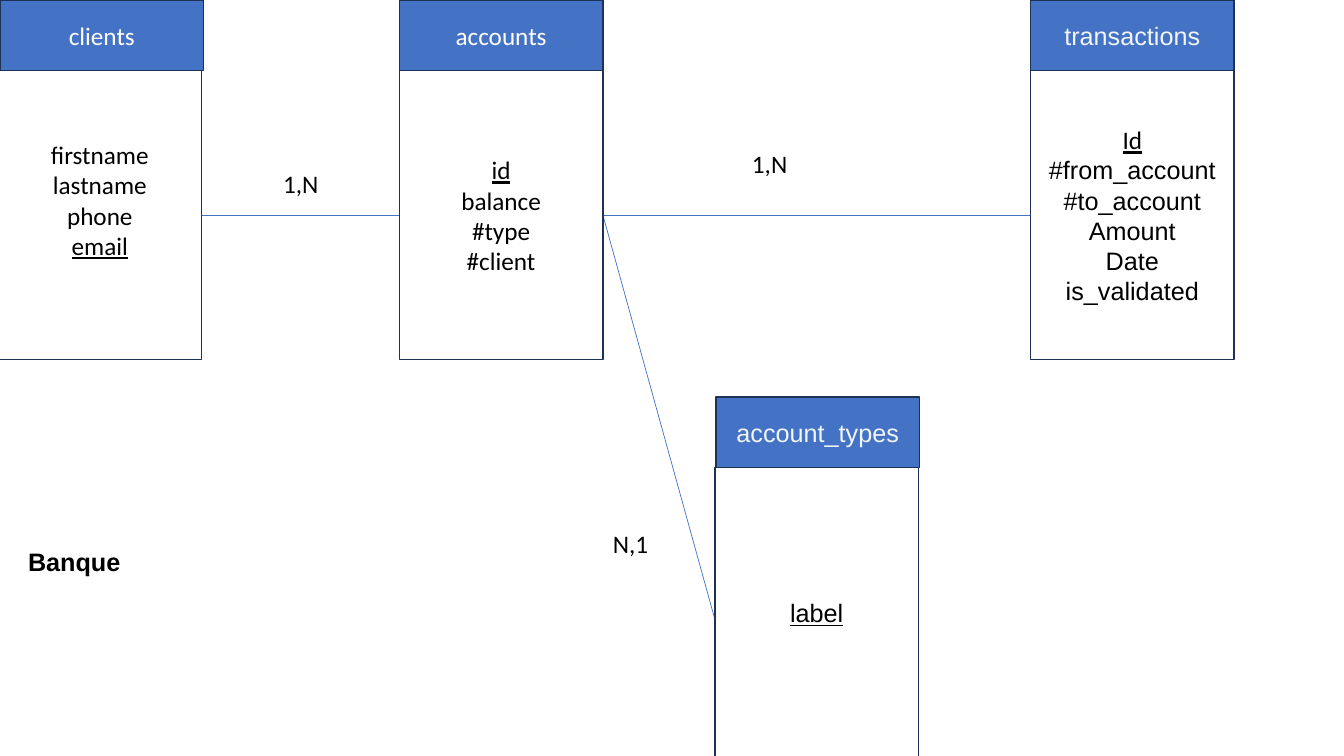
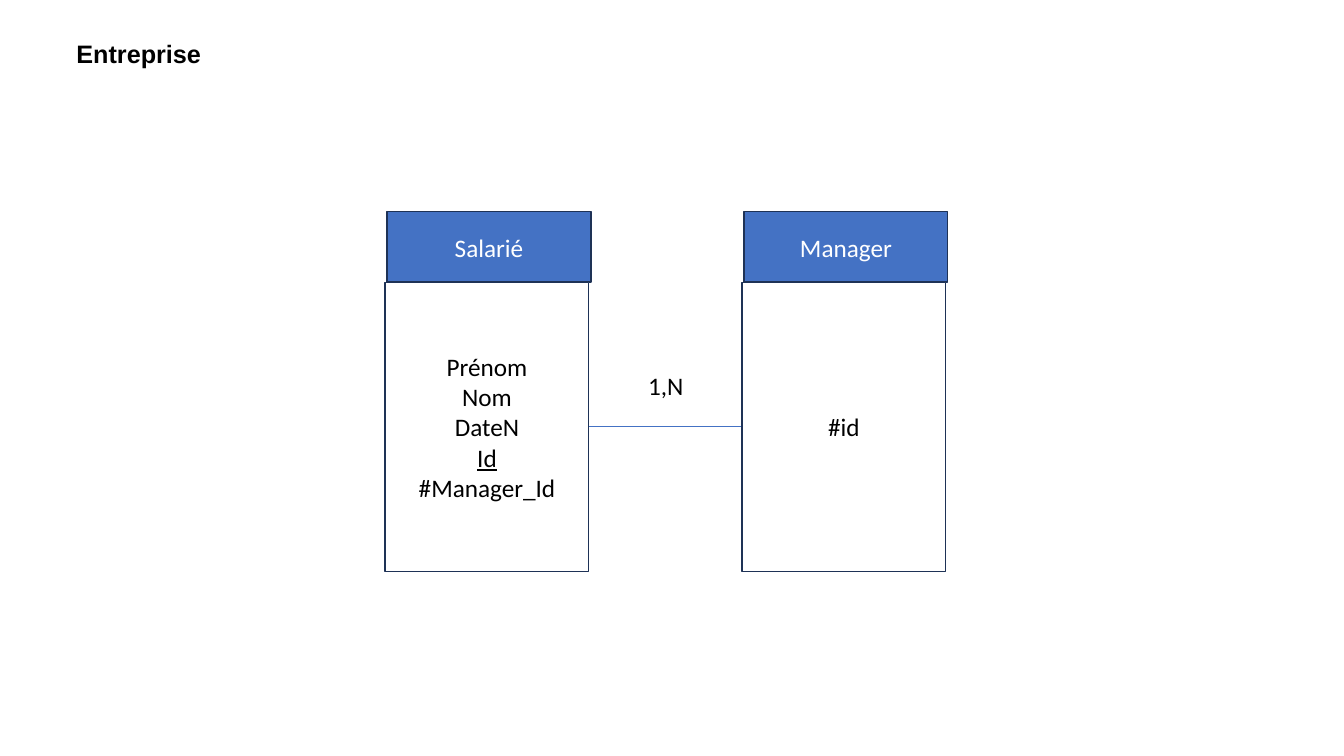
from pptx import Presentation
from pptx.dml.color import RGBColor
from pptx.enum.shapes import MSO_CONNECTOR, MSO_SHAPE
from pptx.enum.text import MSO_ANCHOR, MSO_AUTO_SIZE, PP_ALIGN
from pptx.oxml.ns import qn
from pptx.util import Inches, Pt
from lxml.etree import SubElement

BLUE = RGBColor(0x44, 0x72, 0xC4)
NAVY = RGBColor(0x1E, 0x32, 0x56)
WHITE = RGBColor(0xFF, 0xFF, 0xFF)
PALE = RGBColor(0xF0, 0xF6, 0xFC)
BLACK = RGBColor(0, 0, 0)
SANS = "Calibri"
ARIAL = "Arial"
WIDE = 2.02
HEAD = 0.7
BODY = 2.87


def add_run(para, text, font=SANS, color=BLACK, bold=False, under=False):
    run = para.add_run()
    run.text = text
    run.font.name = font
    run.font.size = Pt(18)
    run.font.color.rgb = color
    run.font.bold = bold
    run.font.underline = under


def add_box(slide, x, y, high, fill):
    box = slide.shapes.add_shape(
        MSO_SHAPE.RECTANGLE, Inches(x), Inches(y), Inches(WIDE), Inches(high))
    box.shadow.inherit = False
    box.fill.solid()
    box.fill.fore_color.rgb = fill
    box.line.color.rgb = NAVY
    box.line.width = Pt(1)
    frame = box.text_frame
    frame.word_wrap = True
    frame.vertical_anchor = MSO_ANCHOR.MIDDLE
    return frame


def add_entity(slide, x, y, name, rows, key=None, font=SANS, color=WHITE,
               key_font=None, shift=0, lift=0):
    head = add_box(slide, x + shift, y, HEAD, BLUE).paragraphs[0]
    head.alignment = PP_ALIGN.CENTER
    add_run(head, name, font, color)
    frame = add_box(slide, x, y + HEAD, BODY, WHITE)
    frame.margin_bottom = Inches(0.05 + lift)
    for i, row in enumerate(rows):
        para = frame.add_paragraph() if i else frame.paragraphs[0]
        para.alignment = PP_ALIGN.CENTER
        is_key = row == key
        face = key_font if is_key and key_font else font
        add_run(para, row, face, under=is_key)


def add_link(slide, x1, y1, x2, y2):
    link = slide.shapes.add_connector(
        MSO_CONNECTOR.STRAIGHT, Inches(x1), Inches(y1), Inches(x2), Inches(y2))
    link.line.color.rgb = BLUE
    link.line.width = Pt(0.5)
    props = link.element.find(qn("p:spPr"))
    SubElement(props, qn("a:effectLst"))


def add_label(slide, x, y, width, text, font=SANS, bold=False):
    box = slide.shapes.add_textbox(
        Inches(x), Inches(y), Inches(width), Inches(0.4))
    frame = box.text_frame
    frame.word_wrap = True
    frame.auto_size = MSO_AUTO_SIZE.SHAPE_TO_FIT_TEXT
    add_run(frame.paragraphs[0], text, font, bold=bold)


def add_title(slide, x, y, width, text):
    add_label(slide, x, y, width, text, ARIAL, True)


def draw_bank(slide):
    left, mid, right, low = -0.02, 3.96, 10.22, 7.09
    axis = HEAD + BODY / 2
    add_link(slide, left + WIDE, axis, mid, axis)
    add_link(slide, mid + WIDE, axis, right, axis)
    add_link(slide, mid + WIDE, axis, 7.1, 6.18)
    add_entity(slide, left, 0, "clients",
               ["firstname", "lastname", "phone", "email"], "email",
               shift=0.02, lift=0.3)
    add_entity(slide, mid, 0, "accounts",
               ["id", "balance", "#type", "#client"], "id")
    add_entity(slide, right, 0, "transactions",
               ["Id", "#from_account", "#to_account", "Amount", "Date",
                "is_validated"], "Id", ARIAL, PALE, key_font=SANS)
    add_entity(slide, low, 3.94, "account_types", ["label"], "label",
               ARIAL, PALE, shift=0.01)
    add_label(slide, 2.71, 1.62, 0.72, "1,N")
    add_label(slide, 5.98, 5.19, 0.59, "N,1")
    add_label(slide, 7.36, 1.42, 0.58, "1,N")
    add_title(slide, 0.18, 5.37, 2.46, "Banque")


def draw_firm(slide):
    left, right, top = 3.82, 7.36, 2.1
    axis = top + HEAD + BODY / 2
    add_link(slide, left + WIDE, axis, right, axis)
    add_entity(slide, left, top, "Salarié",
               ["Prénom", "Nom", "DateN", "Id", "#Manager_Id"], "Id",
               shift=0.02)
    add_entity(slide, right, top, "Manager", ["#id"], shift=0.02)
    add_label(slide, 6.33, 3.62, 0.63, "1,N")
    add_title(slide, 0.66, 0.33, 3.16, "Entreprise")


def main():
    deck = Presentation()
    deck.slide_width = Inches(13.33)
    deck.slide_height = Inches(7.5)
    for draw in (draw_bank, draw_firm):
        draw(deck.slides.add_slide(deck.slide_layouts[6]))
    deck.save("out.pptx")


if __name__ == "__main__":
    main()
